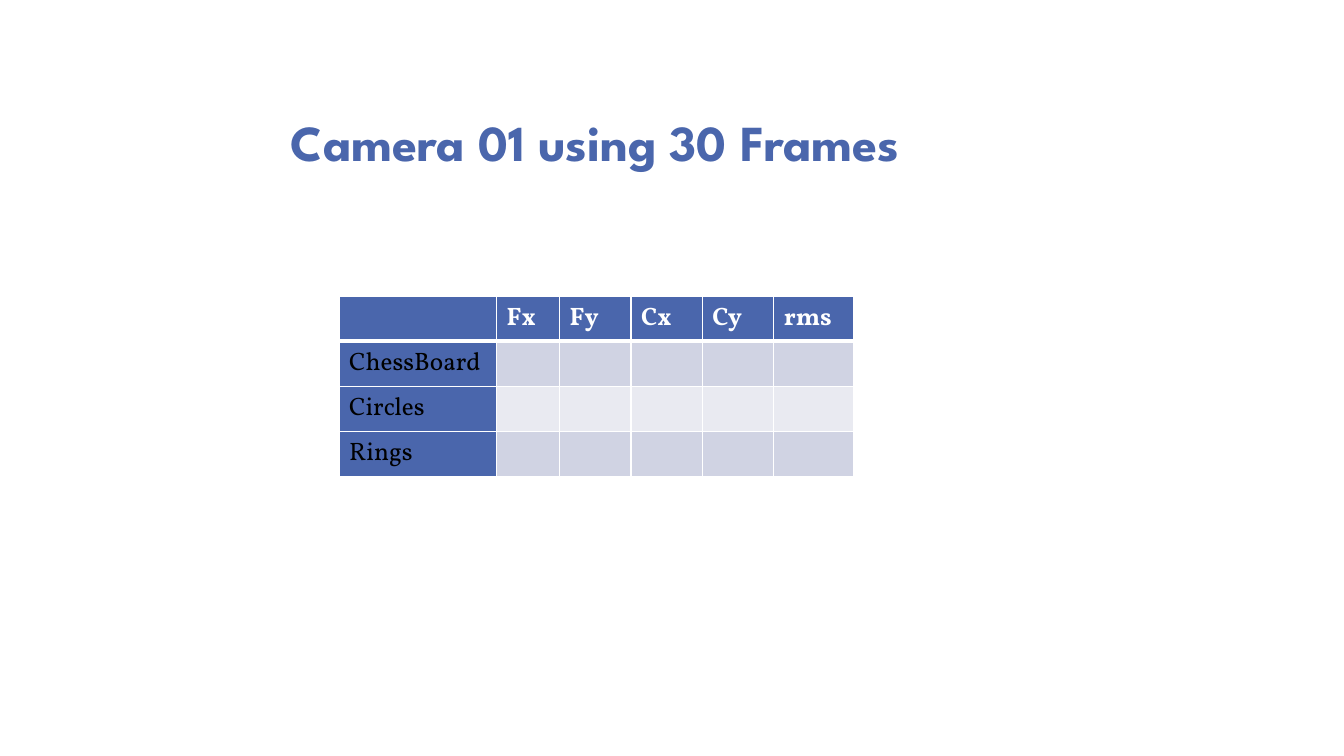
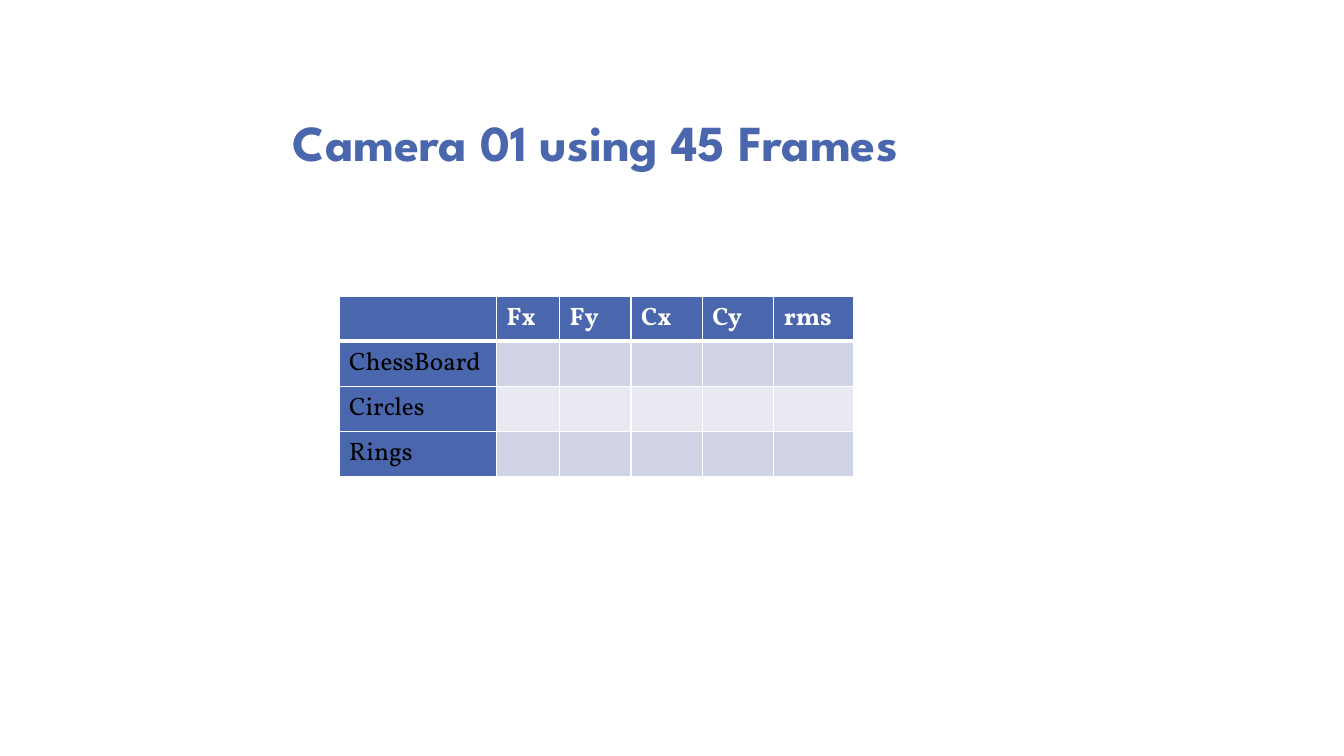
from dataclasses import dataclass

from lxml.etree import SubElement as Sub
from pptx import Presentation
from pptx.dml.color import RGBColor as Rgb
from pptx.enum.text import MSO_ANCHOR as Anchor, PP_ALIGN as Align
from pptx.oxml.ns import qn
from pptx.slide import Slide
from pptx.table import _Cell as Cell
from pptx.util import Emu, Pt

SCALE = 9525  # EMU per px, at 96 px to the inch


@dataclass(frozen=True)
class Theme:
    blue: str = "4A66AC"
    white: str = "FFFFFF"
    black: str = "000000"
    bands: tuple[str, str] = ("D0D3E3", "E9EAF1")
    head_font: str = "League Spartan"
    body_font: str = "Vollkorn"
    head_size: int = 36
    body_size: int = 18
    thin: int = 1
    thick: int = 3


@dataclass(frozen=True)
class Box:
    left: int
    top: int
    width: int
    height: int

    def emu(self) -> tuple[Emu, ...]:
        return tuple(map(px, (self.left, self.top, self.width, self.height)))


@dataclass(frozen=True)
class Style:
    font: str
    size: int
    color: str
    bold: bool = False


THEME = Theme()
TITLE = Style(THEME.head_font, THEME.head_size, THEME.blue, True)
HEAD = Style(THEME.body_font, THEME.body_size, THEME.white, True)
BODY = Style(THEME.body_font, THEME.body_size, THEME.black)

COLS = (150, 60, 68, 68, 68, 76)
ROW = 43
HEADS = ("", "Fx", "Fy", "Cx", "Cy", "rms")
LABELS = ("ChessBoard", "Circles", "Rings")
GRID = (HEADS, *((label, *[""] * (len(HEADS) - 1)) for label in LABELS))

TITLE_BOX = Box(111, 56, 912, 112)
TABLE_BOX = Box(323, 282, sum(COLS), ROW * len(GRID))
FRAMES = (30, 45)


def px(count: int) -> Emu:
    return Emu(count * SCALE)


def write(frame, text: str, style: Style) -> None:
    frame.text = text
    for run in frame.paragraphs[0].runs:
        font = run.font
        font.name, font.size, font.bold = style.font, Pt(style.size), style.bold
        font.color.rgb = Rgb.from_string(style.color)


def edge(cell: Cell, top: int, bottom: int) -> None:
    """Draw white borders, with top and bottom widths in points."""
    props = cell._tc.get_or_add_tcPr()
    sides = {"L": THEME.thin, "R": THEME.thin, "T": top, "B": bottom}
    for spot, (side, width) in enumerate(sides.items()):
        line = Sub(props, qn(f"a:ln{side}"), w=str(Pt(width)))
        fill = Sub(line, qn("a:solidFill"))
        Sub(fill, qn("a:srgbClr"), val=THEME.white)
        props.insert(spot, line)  # borders must come before the fill


def add_title(slide: Slide, text: str) -> None:
    frame = slide.shapes.add_textbox(*TITLE_BOX.emu()).text_frame
    frame.word_wrap = True
    frame.vertical_anchor = Anchor.BOTTOM
    write(frame, text, TITLE)
    para = frame.paragraphs[0]
    para.alignment = Align.CENTER
    para.line_spacing = 0.8


def add_grid(slide: Slide) -> None:
    table = slide.shapes.add_table(len(GRID), len(COLS), *TABLE_BOX.emu()).table
    table.first_row = table.horz_banding = False
    for col, width in zip(table.columns, COLS):
        col.width = px(width)
    for r, texts in enumerate(GRID):
        table.rows[r].height = px(ROW)
        band = THEME.bands[(r - 1) % 2]
        top = THEME.thick if r == 1 else THEME.thin
        bottom = THEME.thick if r == 0 else THEME.thin
        for c, text in enumerate(texts):
            cell = table.cell(r, c)
            write(cell.text_frame, text, BODY if r else HEAD)
            cell.fill.solid()
            color = band if r and c else THEME.blue
            cell.fill.fore_color.rgb = Rgb.from_string(color)
            edge(cell, top, bottom)


def main() -> None:
    deck = Presentation()
    deck.slide_width, deck.slide_height = px(1280), px(720)
    blank = deck.slide_layouts[6]
    for count in FRAMES:
        slide = deck.slides.add_slide(blank)
        add_title(slide, f"Camera 01 using {count} Frames")
        add_grid(slide)
    deck.save("out.pptx")


if __name__ == "__main__":
    main()
